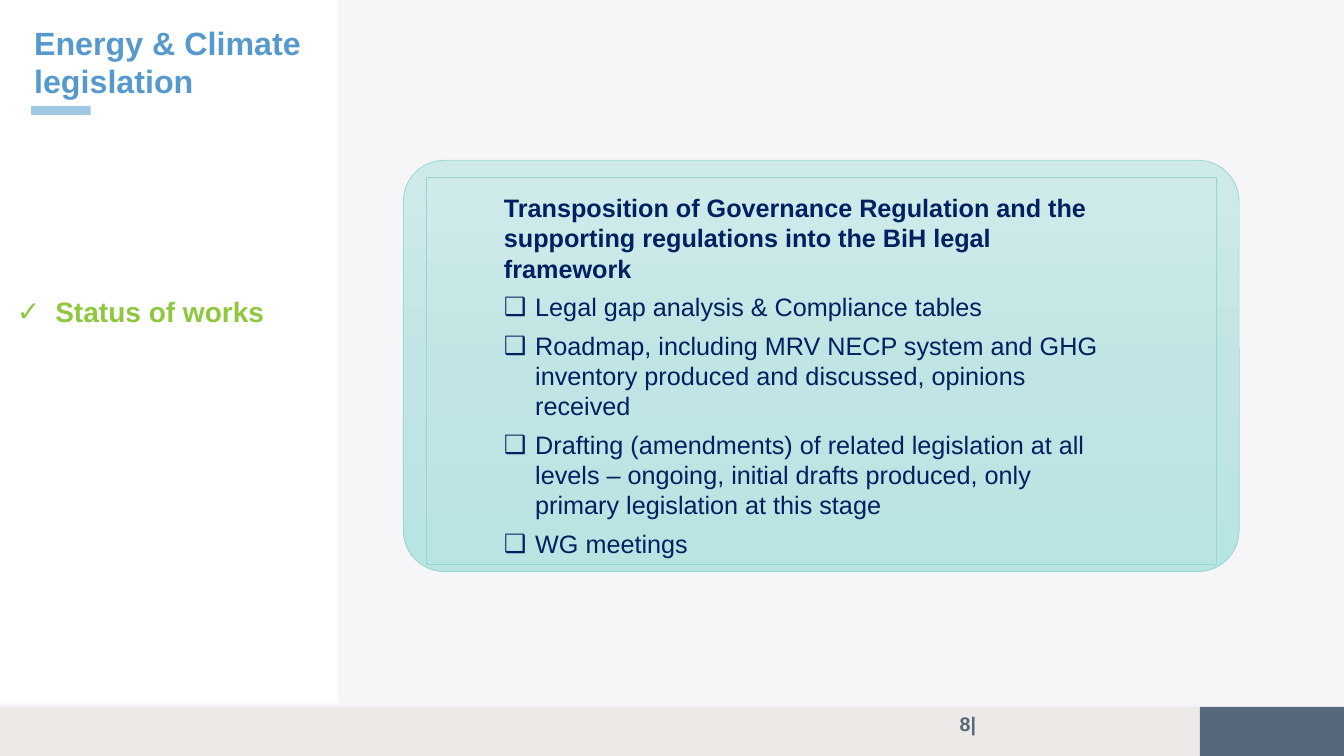
from copy import deepcopy
from dataclasses import dataclass

from lxml import etree
from pptx import Presentation
from pptx.dml.color import RGBColor
from pptx.enum.shapes import MSO_SHAPE
from pptx.enum.text import MSO_ANCHOR
from pptx.oxml.ns import qn
from pptx.util import Inches, Pt

RECT = MSO_SHAPE.RECTANGLE
ROUND = MSO_SHAPE.ROUNDED_RECTANGLE
TOP, MIDDLE, BOTTOM = MSO_ANCHOR.TOP, MSO_ANCHOR.MIDDLE, MSO_ANCHOR.BOTTOM


@dataclass(frozen=True)
class Theme:
    font: str = "Arial"
    white: str = "FFFFFF"
    pale: str = "F6F6F8"
    sand: str = "EDE9E6"
    slate: str = "56687B"
    sky: str = "A1C8E2"
    blue: str = "569ACD"
    green: str = "8FC73E"
    navy: str = "002060"
    edge: str = "96D5D2"
    mint: tuple[str, ...] = ("CEEBEA", "C1E5E4", "B8E4E1")
    title: int = 23
    head: int = 20
    body: int = 18
    foot: int = 14


@dataclass(frozen=True)
class Box:
    left: float
    top: float
    width: float
    height: float

    def place(self) -> tuple:
        return tuple(Inches(v) for v in (self.left, self.top, self.width, self.height))


@dataclass(frozen=True)
class Block:
    box: Box
    color: str


@dataclass(frozen=True)
class Panel:
    box: Box
    kind: int


@dataclass(frozen=True)
class Para:
    text: str
    bold: bool = False
    bullet: str = ""
    left: float = 0
    hang: float = 0


@dataclass(frozen=True)
class Label:
    box: Box
    paras: tuple[Para, ...]
    size: int
    color: str
    anchor: int = TOP
    lines: float = 1.0
    after: int = 0


THEME = Theme()

BLOCKS = (
    Block(Box(0, 7, 11.9, 0.5), THEME.sand),
    Block(Box(11.9, 7.01, 1.43, 0.49), THEME.slate),
    Block(Box(0, 0, 13.33, 7.01), THEME.pale),
    Block(Box(0, 0, 3.35, 6.98), THEME.white),
    Block(Box(0.31, 1.05, 0.59, 0.09), THEME.sky),
)

PANELS = (
    Panel(Box(4, 1.59, 8.29, 4.08), ROUND),
    Panel(Box(4.23, 1.76, 7.83, 3.84), RECT),
)

TASKS = (
    "Legal gap analysis & Compliance tables",
    "Roadmap, including MRV NECP system and GHG inventory produced and discussed, "
    "opinions received",
    "Drafting (amendments) of related legislation at all levels – ongoing, "
    "initial drafts produced, only primary legislation at this stage",
    "WG meetings",
)
LEAD = Para("Transposition of Governance Regulation and the supporting regulations "
            "into the BiH legal framework", bold=True, left=0.41)

LABELS = (
    Label(Box(9.42, 7, 3, 0.35), (Para("8|", bold=True),),
          THEME.foot, THEME.slate, MIDDLE),
    Label(Box(0.07, 1.83, 3.28, 1.48),
          (Para("Status of works", True, "✓", 0.38, -0.38),),
          THEME.head, THEME.green, BOTTOM, 0.9),
    Label(Box(0.24, 0.18, 3.28, 0.88), (Para("Energy & Climate legislation", bold=True),),
          THEME.title, THEME.blue),
    Label(Box(4.49, 1.86, 6.54, 3.77),
          (LEAD, *(Para(task, False, "❑", 0.72, -0.31) for task in TASKS)),
          THEME.body, THEME.navy, after=6),
)


def rgb(code: str) -> RGBColor:
    return RGBColor.from_string(code)


def draw_block(slide, block: Block) -> None:
    shape = slide.shapes.add_shape(RECT, *block.box.place())
    shape.shadow.inherit = False
    shape.fill.solid()
    shape.fill.fore_color.rgb = rgb(block.color)
    shape.line.fill.background()


def draw_panel(slide, panel: Panel) -> None:
    shape = slide.shapes.add_shape(panel.kind, *panel.box.place())
    shape.shadow.inherit = False
    if panel.kind == ROUND:
        shape.adjustments[0] = 0.1
    shape.line.color.rgb = rgb(THEME.edge)
    shape.line.width = Pt(0.5)

    # Vertical gradient with a third stop
    fill = shape.fill
    fill.gradient()
    fill.gradient_angle = 270
    stops = shape.element.spPr.find(qn("a:gradFill")).find(qn("a:gsLst"))
    stops.append(deepcopy(stops[0]))
    for i, (stop, color) in enumerate(zip(fill.gradient_stops, THEME.mint)):
        stop.color.rgb = rgb(color)
        stop.position = i / (len(THEME.mint) - 1)


def draw_label(slide, label: Label) -> None:
    frame = slide.shapes.add_textbox(*label.box.place()).text_frame
    frame.word_wrap = True
    frame.vertical_anchor = label.anchor
    frame.text = "\n".join(para.text for para in label.paras)
    for line, para in zip(frame.paragraphs, label.paras):
        # Indent and bullet
        props = line._p.get_or_add_pPr()
        props.set("marL", str(Inches(para.left)))
        props.set("indent", str(Inches(para.hang)))
        if para.bullet:
            etree.SubElement(props, qn("a:buFont")).set("typeface", THEME.font)
            etree.SubElement(props, qn("a:buChar")).set("char", para.bullet)
        line.line_spacing = label.lines
        line.space_after = Pt(label.after)
        # Type
        for run in line.runs:
            run.font.name = THEME.font
            run.font.size = Pt(label.size)
            run.font.bold = para.bold
            run.font.color.rgb = rgb(label.color)


def main() -> None:
    deck = Presentation()
    deck.slide_width, deck.slide_height = Inches(13.33), Inches(7.5)
    slide = deck.slides.add_slide(deck.slide_layouts[6])

    # Page bands and sidebar
    for block in BLOCKS:
        draw_block(slide, block)
    # Content card
    for panel in PANELS:
        draw_panel(slide, panel)
    # Wording
    for label in LABELS:
        draw_label(slide, label)

    deck.save("out.pptx")


if __name__ == "__main__":
    main()
